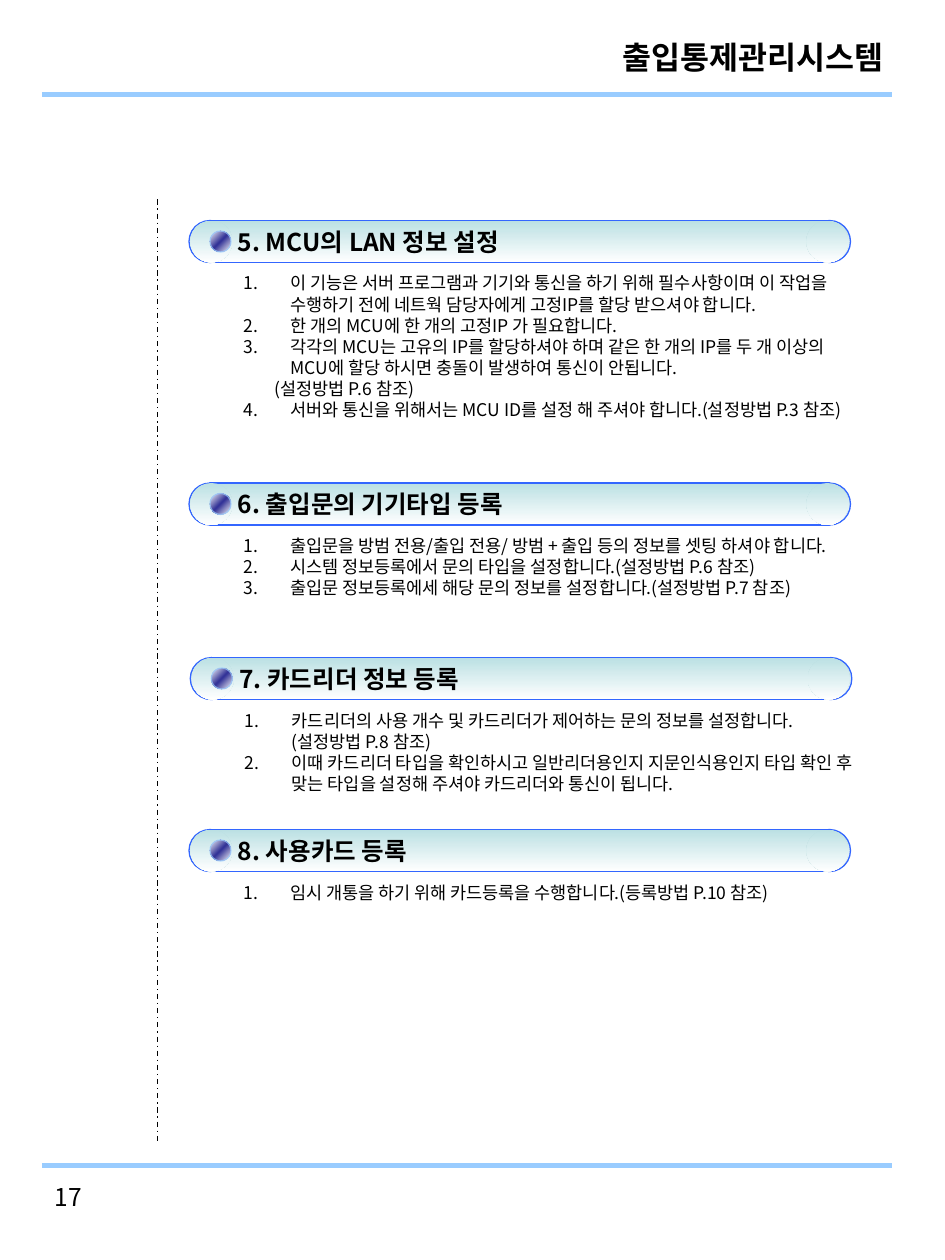
from dataclasses import dataclass

from lxml.etree import SubElement
from pptx import Presentation
from pptx.dml.color import RGBColor
from pptx.enum.dml import MSO_LINE
from pptx.enum.shapes import MSO_CONNECTOR, MSO_SHAPE
from pptx.enum.text import MSO_ANCHOR, PP_ALIGN
from pptx.oxml.ns import qn
from pptx.util import Pt


@dataclass(frozen=True)
class Theme:
    font: str = "Noto Sans CJK KR"
    ink: str = "000000"
    rule: str = "99CCFF"
    outline: str = "3366FF"
    bar: tuple = ((0, "BBE0E3"), (100, "FFFFFF"))
    bead: tuple = ((0, "FFFFFF"), (50, "333399"), (100, "FFFFFF"))
    title_size: int = 18
    heading_size: int = 14
    body_size: int = 10


THEME = Theme()
BAR_HEIGHT = 24
HANGING = 27

# Each section: left, top, heading, and items of (number or None, text).
SECTIONS = [
    (108, 126, "5. MCU의 LAN 정보 설정", [
        (1, "이 기능은 서버 프로그램과 기기와 통신을 하기 위해 필수사항이며 이 작업을 "
            "수행하기 전에 네트웍 담당자에게 고정IP를 할당 받으셔야 합니다."),
        (2, "한 개의 MCU에 한 개의 고정IP 가 필요합니다."),
        (3, "각각의 MCU는 고유의 IP를 할당하셔야 하며 같은 한 개의 IP를 두 개 "
            "이상의 MCU에 할당 하시면 충돌이 발생하여 통신이 안됩니다."),
        (None, "(설정방법 P.6 참조)"),
        (4, "서버와 통신을 위해서는 MCU ID를 설정 해 주셔야 합니다.(설정방법 P.3 참조)"),
    ]),
    (108, 276, "6. 출입문의 기기타입 등록", [
        (1, "출입문을 방범 전용/출입 전용/ 방범 + 출입 등의 정보를 셋팅 하셔야 합니다."),
        (2, "시스템 정보등록에서 문의 타입을 설정합니다.(설정방법 P.6 참조)"),
        (3, "출입문 정보등록에세 해당 문의 정보를 설정합니다.(설정방법 P.7 참조)"),
    ]),
    (108.75, 375.75, "7. 카드리더 정보 등록", [
        (1, "카드리더의 사용 개수 및 카드리더가 제어하는 문의 정보를 설정합니다."
            "(설정방법 P.8 참조)"),
        (2, "이때 카드리더 타입을 확인하시고 일반리더용인지 지문인식용인지 타입 확인 후 "
            "맞는 타입을 설정해 주셔야 카드리더와 통신이 됩니다."),
    ]),
    (108, 474, "8. 사용카드 등록", [
        (1, "임시 개통을 하기 위해 카드등록을 수행합니다.(등록방법 P.10 참조)"),
    ]),
]


def add_span(para, text, size, bold=False):
    span = para.add_run()
    span.text = text
    span.font.size = Pt(size)
    span.font.bold = bold
    span.font.name = THEME.font
    span.font.color.rgb = RGBColor.from_string(THEME.ink)
    SubElement(span.font._element, qn("a:ea"), typeface=THEME.font)


def add_text_box(page, left, top, width, height):
    box = page.shapes.add_textbox(Pt(left), Pt(top), Pt(width), Pt(height))
    box.text_frame.word_wrap = True
    return box.text_frame


def add_line(page, start, end, color, width, dash=None):
    line = page.shapes.add_connector(
        MSO_CONNECTOR.STRAIGHT, *(Pt(value) for value in start + end))
    line.line.color.rgb = RGBColor.from_string(color)
    line.line.width = Pt(width)
    if dash:
        line.line.dash_style = dash
    SubElement(line._element.spPr, qn("a:effectLst"))


def add_gradient_shape(group, kind, box, stops, angle, outline=None):
    """Angle is in degrees, counter-clockwise."""
    shape = group.shapes.add_shape(kind, *(Pt(value) for value in box))
    shape.shadow.inherit = False
    shape.fill.gradient()
    shape.fill.gradient_angle = angle
    stop_list = shape._element.spPr.find(".//" + qn("a:gsLst"))
    for old_stop in list(stop_list):
        stop_list.remove(old_stop)
    for position, color in stops:
        stop = SubElement(stop_list, qn("a:gs"), pos=str(position * 1000))
        SubElement(stop, qn("a:srgbClr"), val=color)
    if outline:
        shape.line.color.rgb = RGBColor.from_string(outline)
        shape.line.width = Pt(0.75)
    else:
        shape.line.fill.background()
    return shape


def add_heading_bar(page, left, top, heading):
    """A pill: outlined caps, a bar, plain caps hiding the bar's ends, a bead."""
    group = page.shapes.add_group_shape()

    def add_cap(offset, outline=None):
        add_gradient_shape(group, MSO_SHAPE.OVAL,
                           (left + offset, top, BAR_HEIGHT, BAR_HEIGHT),
                           THEME.bar, 270, outline)

    for offset in (0, 354):
        add_cap(offset, THEME.outline)
    bar = add_gradient_shape(group, MSO_SHAPE.RECTANGLE,
                             (left + 12, top, 354, BAR_HEIGHT),
                             THEME.bar, 270, THEME.outline)
    for offset in (352.8, 0.8):
        add_cap(offset)
    bead = add_gradient_shape(group, MSO_SHAPE.OVAL, (left + 12, top + 6, 12, 12),
                              THEME.bead, 135, THEME.rule)
    bead_color = bead.line._ln.find(".//" + qn("a:srgbClr"))
    SubElement(bead_color, qn("a:alpha"), val="70000")

    frame = bar.text_frame
    frame.vertical_anchor = MSO_ANCHOR.MIDDLE
    frame.margin_left = Pt(16)
    para = frame.paragraphs[0]
    para.alignment = PP_ALIGN.LEFT
    add_span(para, heading, THEME.heading_size, bold=True)


def add_items(page, left, top, items):
    frame = add_text_box(page, left, top, 365, 21.6)
    for index, (number, text) in enumerate(items):
        para = frame.paragraphs[0] if index == 0 else frame.add_paragraph()
        properties = para._p.get_or_add_pPr()
        if number:
            properties.set("marL", str(Pt(HANGING)))
            properties.set("indent", str(-Pt(HANGING)))
            SubElement(properties, qn("a:buFont"), typeface=THEME.font)
            SubElement(properties, qn("a:buAutoNum"), type="arabicPeriod",
                       startAt=str(number if items[index - 1][0] is None else 1))
        else:
            properties.set("marL", str(Pt(18)))
        add_span(para, text, THEME.body_size)


def add_section(page, left, top, heading, items):
    add_heading_bar(page, left, top, heading)
    add_items(page, left + 24, top + 26.2, items)


def add_page_frame(page):
    for height in (666, 54):
        add_line(page, (24, height), (510, height), THEME.rule, 3)
    title = add_text_box(page, 300, 18, 212, 29).paragraphs[0]
    title.alignment = PP_ALIGN.RIGHT
    add_span(title, "출입통제관리시스템", THEME.title_size, bold=True)
    add_line(page, (90, 114), (90, 654), THEME.ink, 0.75, MSO_LINE.DASH_DOT)
    number = add_text_box(page, 24, 672, 126, 30).paragraphs[0]
    add_span(number, "17", THEME.heading_size)


def main():
    deck = Presentation()
    deck.slide_width, deck.slide_height = Pt(540), Pt(720)
    page = deck.slides.add_slide(deck.slide_layouts[6])
    add_page_frame(page)
    for section in SECTIONS:
        add_section(page, *section)
    deck.save("out.pptx")


if __name__ == "__main__":
    main()
